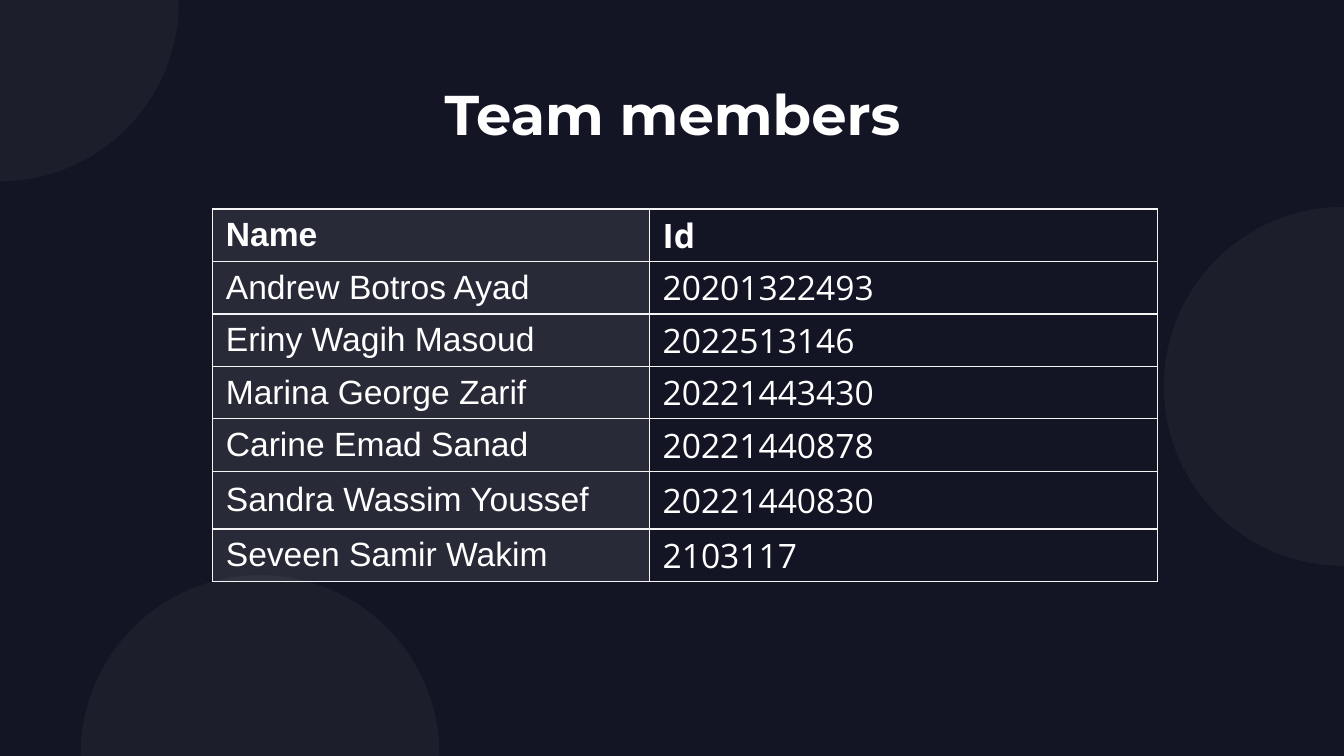
from lxml import etree
from pptx import Presentation
from pptx.dml.color import RGBColor
from pptx.enum import shapes, text
from pptx.oxml import ns
from pptx.util import Pt

NAVY = RGBColor(0x13, 0x15, 0x24)
WHITE = RGBColor(0xFF, 0xFF, 0xFF)
BORDER = RGBColor(0xF5, 0xF5, 0xF5)

CIRCLE_SIZE = 192.24
CIRCLES = [(43.2, 308.16), (623.52, 110.88), (-96.48, -95.04)]
COLUMNS = [234, 272.16]
ROW_HEIGHT, TALL_ROW_HEIGHT, TALL_ROW = 28.1, 30.9, 5
MEMBERS = [
    ("Name", "Id"),
    ("Andrew Botros Ayad", "20201322493"),
    ("Eriny Wagih Masoud", "2022513146"),
    ("Marina George Zarif", "20221443430"),
    ("Carine Emad Sanad", "20221440878"),
    ("Sandra Wassim Youssef", "20221440830"),
    ("Seveen Samir Wakim", "2103117"),
]


def set_attributes(obj, values):
    for name, value in values.items():
        setattr(obj, name, value)


def add_run(p, content, name, size, bold):
    r = p.add_run()
    r.text = content
    set_attributes(r.font, {"name": name, "size": Pt(size), "bold": bold})
    r.font.color.rgb = WHITE


def fill_translucent(fill, element, percent):
    """Fill with white at the given opacity; element holds the fill."""
    fill.solid()
    fill.fore_color.rgb = WHITE
    color = element.find(ns.qn("a:solidFill")).find(ns.qn("a:srgbClr"))
    etree.SubElement(color, ns.qn("a:alpha"), val=str(percent * 1000))


def add_circle(s, left, top):
    sp = s.shapes.add_shape(shapes.MSO_SHAPE.OVAL, Pt(left), Pt(top),
                            Pt(CIRCLE_SIZE), Pt(CIRCLE_SIZE))
    sp.shadow.inherit = False
    sp.line.fill.background()
    fill_translucent(sp.fill, sp.element.spPr, 4)


def add_title(s, content):
    tf = s.shapes.add_textbox(Pt(56.9), Pt(35.3), Pt(607), Pt(45.4)).text_frame
    set_attributes(tf, {
        "word_wrap": True,
        "vertical_anchor": text.MSO_ANCHOR.TOP,
        "margin_left": Pt(7.2), "margin_right": Pt(7.2),
        "margin_top": Pt(7.2), "margin_bottom": Pt(7.2),
    })
    p = tf.paragraphs[0]
    p.alignment = text.PP_ALIGN.CENTER
    add_run(p, content, "Montserrat", 30, True)


def add_borders(tcPr):
    """Outline a cell; borders must precede its fill."""
    for i, side in enumerate(("a:lnL", "a:lnR", "a:lnT", "a:lnB")):
        ln = etree.Element(ns.qn(side), w=str(Pt(0.75)))
        solid = etree.SubElement(ln, ns.qn("a:solidFill"))
        etree.SubElement(solid, ns.qn("a:srgbClr"), val=str(BORDER))
        tcPr.insert(i, ln)


def format_cell(cell, content, is_name, is_header):
    set_attributes(cell, {
        "vertical_anchor": text.MSO_ANCHOR.MIDDLE,
        "margin_left": Pt(7.2), "margin_right": Pt(7.2),
        "margin_top": Pt(0), "margin_bottom": Pt(0),
    })
    p = cell.text_frame.paragraphs[0]
    add_run(p, content, "Arial" if is_name else "Open Sans", 18, is_header)
    tcPr = cell._tc.get_or_add_tcPr()
    if is_name:
        fill_translucent(cell.fill, tcPr, 9)
    else:
        p.space_after = Pt(16)
        cell.fill.background()
    add_borders(tcPr)


def add_member_table(s):
    heights = [TALL_ROW_HEIGHT if i == TALL_ROW else ROW_HEIGHT
               for i in range(len(MEMBERS))]
    table = s.shapes.add_table(len(MEMBERS), len(COLUMNS), Pt(113.8), Pt(112),
                               Pt(sum(COLUMNS)), Pt(sum(heights))).table
    table.horz_banding = False
    for column, width in zip(table.columns, COLUMNS):
        column.width = Pt(width)
    for i, (member, height) in enumerate(zip(MEMBERS, heights)):
        table.rows[i].height = Pt(height)
        for j, content in enumerate(member):
            format_cell(table.cell(i, j), content, j == 0, i == 0)


def main():
    prs = Presentation()
    set_attributes(prs, {"slide_width": Pt(720), "slide_height": Pt(405)})
    s = prs.slides.add_slide(prs.slide_layouts[6])
    s.background.fill.solid()
    s.background.fill.fore_color.rgb = NAVY
    for left, top in CIRCLES:
        add_circle(s, left, top)
    add_title(s, "Team members")
    add_member_table(s)
    prs.save("out.pptx")


if __name__ == "__main__":
    main()
